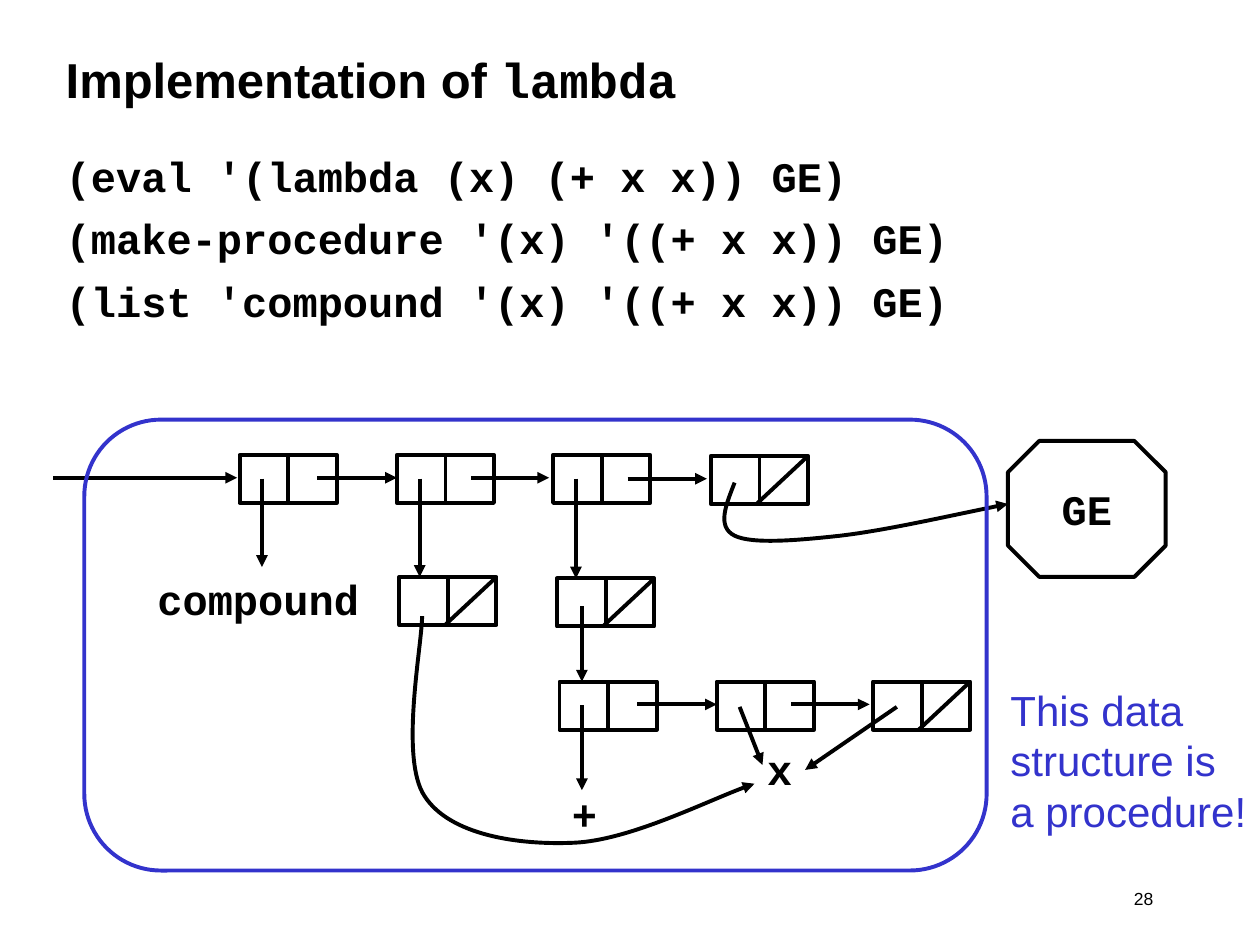
from dataclasses import dataclass
from typing import Any

from lxml.etree import SubElement as Sub
from pptx import Presentation
from pptx.dml.color import RGBColor
from pptx.enum.shapes import MSO_CONNECTOR as Link, MSO_SHAPE as Kind
from pptx.enum.text import MSO_ANCHOR as Anchor, MSO_AUTO_SIZE as Auto, PP_ALIGN as Align
from pptx.oxml.ns import qn
from pptx.util import Cm, Pt

BLACK = RGBColor(0x00, 0x00, 0x00)
BLUE = RGBColor(0x33, 0x33, 0xCC)
SANS, MONO = "Arial", "Courier New"
WIDE, HIGH = 1.96, 0.97  # size of a cons cell
Point = tuple[float, float]


@dataclass
class Cell:
    left: float
    top: float
    last: bool = False


@dataclass
class Arrow:
    start: Point
    end: Point


@dataclass
class Curve:
    start: Point
    bends: list[Point]  # two control points and an end for each piece


@dataclass
class Label:
    text: str
    box: tuple[float, float, float, float]
    size: int = 24
    face: str = MONO
    color: RGBColor = BLACK
    bold: bool = True
    align: Any = Align.CENTER
    wrap: bool = True


CELLS = [
    Cell(4.83, 9.17), Cell(8, 9.17), Cell(11.15, 9.17), Cell(14.33, 9.19, True),
    Cell(8.05, 11.63, True), Cell(11.23, 11.66, True),
    Cell(11.28, 13.74), Cell(14.45, 13.74), Cell(17.6, 13.74, True),
]
ARROWS = [
    # Along the lists
    Arrow((1.07, 9.63), (4.78, 9.63)), Arrow((6.4, 9.63), (8, 9.63)),
    Arrow((9.5, 9.63), (11.07, 9.63)), Arrow((12.65, 9.65), (14.25, 9.65)),
    Arrow((12.85, 14.2), (14.45, 14.2)), Arrow((15.95, 14.2), (17.53, 14.2)),
    # Down to the contents
    Arrow((5.28, 9.65), (5.28, 11.43)), Arrow((8.46, 9.65), (8.46, 11.63)),
    Arrow((11.61, 9.65), (11.61, 11.66)), Arrow((11.73, 12.22), (11.73, 13.74)),
    Arrow((11.73, 14.22), (11.73, 15.93)),
    Arrow((14.91, 14.25), (15.37, 15.42)), Arrow((18.08, 14.25), (16.23, 15.52)),
]
CURVES = [
    Curve((14.81, 9.73), [(14.63, 10.19), (14.45, 10.62), (14.81, 10.8),
                          (15.16, 10.97), (16.03, 10.9), (16.94, 10.8),
                          (17.86, 10.69), (19.08, 10.41), (20.32, 10.16)]),
    Curve((8.51, 12.42), [(8.51, 13), (8.05, 15.29), (8.56, 16.05),
                          (9.07, 16.84), (10.46, 17.04), (11.58, 16.99),
                          (12.67, 16.94), (14.45, 16.05), (15.21, 15.8)]),
]
LABELS = [
    Label("+", (10.77, 15.77, 2.03, 1.27)),
    Label("x", (15.21, 14.86, 1.02, 1.27)),
    Label("compound", (2.54, 11.43, 5.33, 1.27)),
    Label("This data\nstructure is\na procedure!", (20.12, 13.67, 5.26, 3.3),
          face=SANS, color=BLUE, bold=False, align=Align.LEFT, wrap=False),
    Label("28", (17.35, 17.78, 6.15, 0.84), size=10, face=SANS, bold=False,
          align=Align.RIGHT),
]
CODE = [
    "(eval '(lambda (x) (+ x x)) GE)",
    "(make-procedure '(x) '((+ x x)) GE)",
    "(list 'compound '(x) '((+ x x)) GE)",
]


def set_font(item: Any, size: int, face: str, color: RGBColor, bold: bool) -> None:
    font = item.font
    font.size, font.name, font.bold = Pt(size), face, bold
    font.color.rgb = color


def place(shape: Any, *box: float) -> None:
    shape.left, shape.top, shape.width, shape.height = map(Cm, box)


def stroke(shape: Any, color: RGBColor = BLACK, head: bool = False) -> None:
    shape.line.color.rgb = color
    shape.line.width = Pt(2.25)
    if head:
        Sub(shape.line._get_or_add_ln(), qn("a:tailEnd"), type="triangle")


def draw_line(shapes: Any, start: Point, end: Point, head: bool = False) -> None:
    line = shapes.add_connector(Link.STRAIGHT, *map(Cm, start + end))
    stroke(line, head=head)
    Sub(line._element.spPr, qn("a:effectLst"))


def draw_shape(shapes: Any, kind: Any, *box: float, color: RGBColor = BLACK) -> Any:
    shape = shapes.add_shape(kind, *map(Cm, box))
    shape.shadow.inherit = False
    shape.fill.background()
    stroke(shape, color)
    return shape


def draw_cell(shapes: Any, cell: Cell) -> None:
    draw_shape(shapes, Kind.RECTANGLE, cell.left, cell.top, WIDE, HIGH)
    mid, base = cell.left + WIDE / 2, cell.top + HIGH
    draw_line(shapes, (mid, cell.top), (mid, base))
    if cell.last:
        draw_line(shapes, (mid - 0.06, base), (cell.left + WIDE, cell.top))


def draw_curve(shapes: Any, curve: Curve) -> None:
    pen = shapes.build_freeform(*map(Cm, curve.start))
    pen.add_line_segments([(Cm(x), Cm(y)) for x, y in curve.bends], close=False)
    shape = pen.convert_to_shape()
    shape.shadow.inherit = False
    shape.fill.background()
    stroke(shape, head=True)
    # Join each three straight steps into one cubic piece
    steps = list(shape._element.iter(qn("a:lnTo")))
    for i in range(0, len(steps), 3):
        piece = Sub(steps[i].getparent(), qn("a:cubicBezTo"))
        for step in steps[i:i + 3]:
            piece.append(step[0])
            step.getparent().remove(step)


def draw_label(shapes: Any, label: Label) -> None:
    frame = shapes.add_textbox(*map(Cm, label.box)).text_frame
    frame.word_wrap = label.wrap
    para = frame.paragraphs[0]
    para.text, para.alignment = label.text, label.align
    set_font(para, label.size, label.face, label.color, label.bold)


def fill_title(title: Any) -> None:
    place(title, 1.07, 0.43, 21.59, 2.34)
    title.text_frame.vertical_anchor = Anchor.MIDDLE
    para = title.text_frame.paragraphs[0]
    para.alignment = Align.LEFT
    for text, face in (("Implementation of ", SANS), ("lambda", MONO)):
        run = para.add_run()
        run.text = text
        set_font(run, 28, face, BLACK, True)


def fill_code(body: Any) -> None:
    place(body, 1.07, 2.9, 24.33, 4.92)
    frame = body.text_frame
    frame.auto_size = Auto.NONE
    for i, text in enumerate(CODE):
        para = frame.add_paragraph() if i else frame.paragraphs[0]
        para.text = text
        para.space_before = Pt(7 if i else 0)
        props = para._p.get_or_add_pPr()
        props.set("marL", "0")
        props.set("indent", "0")
        Sub(props, qn("a:buNone"))
        set_font(para, 24, MONO, BLACK, True)


def main() -> None:
    deck = Presentation()
    deck.slide_width, deck.slide_height = Cm(25.4), Cm(19.05)
    slide = deck.slides.add_slide(deck.slide_layouts[1])
    shapes = slide.shapes
    fill_title(shapes.title)
    fill_code(slide.placeholders[1])

    # Box and pointer diagram
    for cell in CELLS:
        draw_cell(shapes, cell)
    for arrow in ARROWS:
        draw_line(shapes, arrow.start, arrow.end, head=True)
    for curve in CURVES:
        draw_curve(shapes, curve)

    # Global environment
    env = draw_shape(shapes, Kind.OCTAGON, 20.32, 8.89, 3.18, 2.74)
    env.adjustments[0] = 0.23
    env.text_frame.word_wrap = False
    env.text_frame.vertical_anchor = Anchor.MIDDLE
    para = env.text_frame.paragraphs[0]
    para.text, para.alignment = "GE", Align.CENTER
    set_font(para, 24, MONO, BLACK, True)

    # Frame around the procedure, then the labels
    ring = draw_shape(shapes, Kind.ROUNDED_RECTANGLE, 1.7, 8.46, 18.19, 9.09, color=BLUE)
    ring.adjustments[0] = 0.17
    for label in LABELS:
        draw_label(shapes, label)

    deck.save("out.pptx")


if __name__ == "__main__":
    main()
